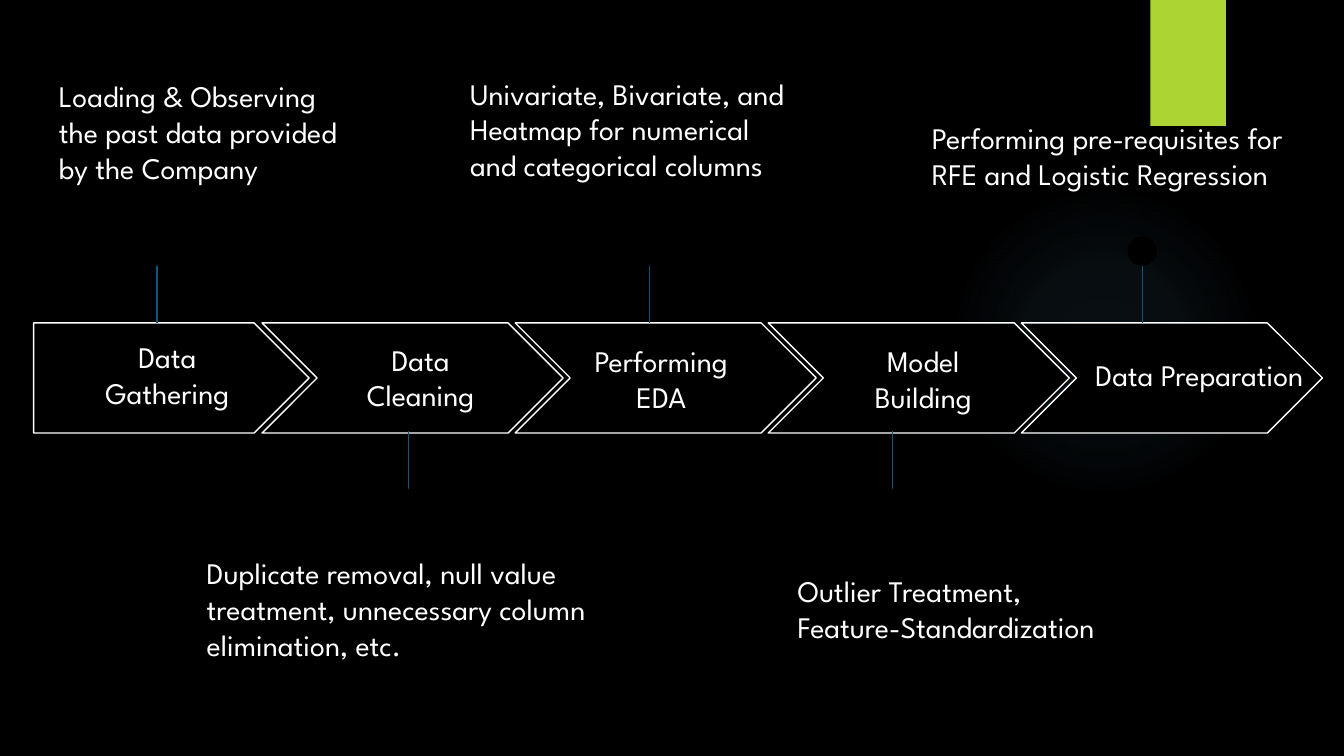
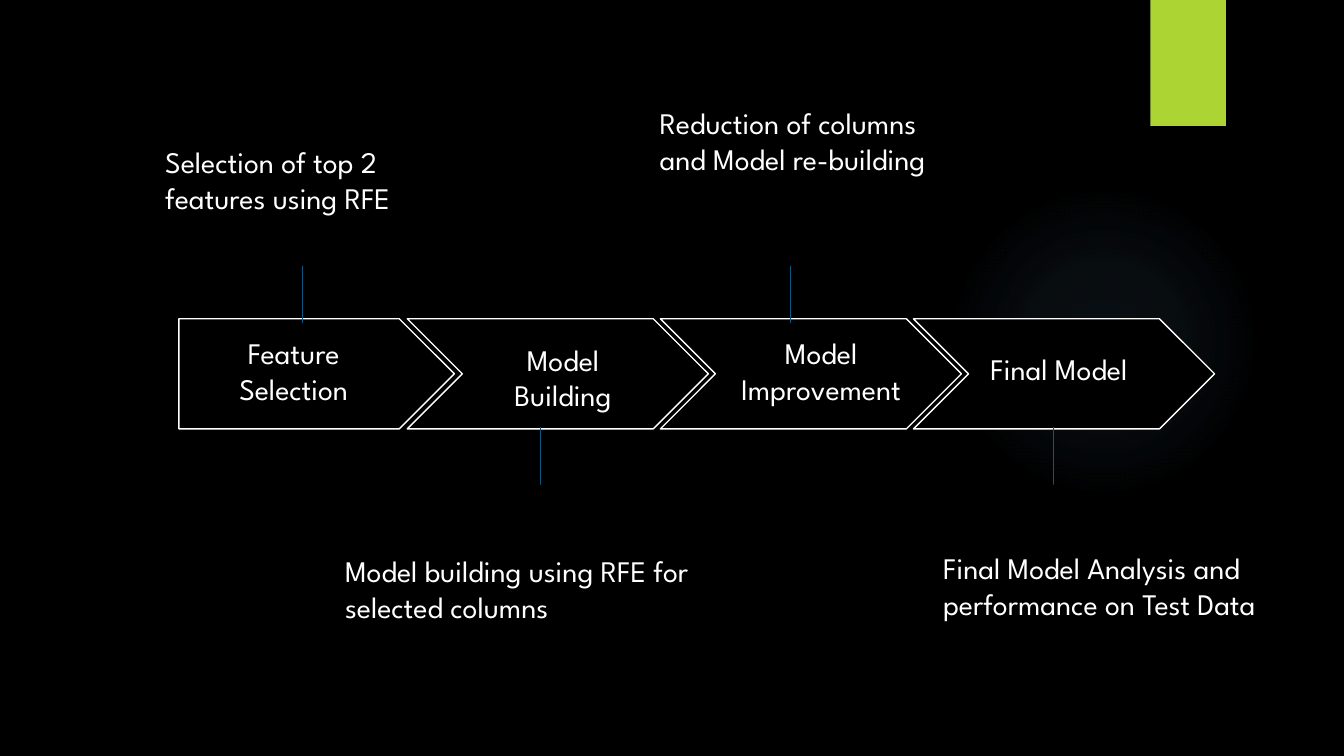
from lxml import etree
from pptx import Presentation
from pptx.dml.color import RGBColor
from pptx.enum.shapes import MSO_CONNECTOR, MSO_SHAPE
from pptx.enum.text import MSO_ANCHOR, PP_ALIGN
from pptx.oxml import parse_xml
from pptx.oxml.ns import nsdecls, qn
from pptx.util import Pt

RECT, OVAL = MSO_SHAPE.RECTANGLE, MSO_SHAPE.OVAL
PENTAGON, CHEVRON = MSO_SHAPE.PENTAGON, MSO_SHAPE.CHEVRON
STRAIGHT = MSO_CONNECTOR.STRAIGHT
TOP, MIDDLE = MSO_ANCHOR.TOP, MSO_ANCHOR.MIDDLE
LEFT, CENTER = PP_ALIGN.LEFT, PP_ALIGN.CENTER

BLACK, WHITE, LIME, BLUE, GLOW = "000000", "FFFFFF", "ACD433", "0E5580", "7AC4F0"
FONT, SIZE = "League Spartan", 16

# Content: each step has (label, label box), (note, note box), stem x.
# Boxes are left, top, width, height; notes alternate above and below.
SLIDES = [
    dict(left=18, top=173, steps=[
        (("Data Gathering", (32.4, 182.2, 114.5, 36.7)),
         ("Loading & Observing the past data provided by the Company",
          (24.5, 34.6, 176.4, 71.3)), 84.2),
        (("Data Cleaning", (173.5, 183.6, 103.7, 36.7)),
         ("Duplicate removal, null value treatment, unnecessary column elimination, etc.",
          (103.7, 290.2, 230.4, 59)), 219),
        (("Performing EDA", (302.4, 184.3, 103.7, 36.7)),
         ("Univariate, Bivariate, and Heatmap for numerical and categorical columns",
          (244.8, 33.1, 190.8, 71.3)), 347.8),
        (("Model Building", (442.8, 184.3, 103.7, 36.7)),
         ("Outlier Treatment, Feature-Standardization",
          (420.2, 299.5, 183.6, 59)), 478),
        (("Data Preparation", (578.9, 182.2, 127.4, 36.7)),
         ("Performing pre-requisites for RFE and Logistic Regression",
          (492.2, 56.9, 211.7, 71.3)), 612),
    ]),
    dict(left=95.8, top=170.8, steps=[
        (("Feature Selection", (100.1, 180, 114.5, 36.7)),
         ("Selection of top 2 features using RFE",
          (81.4, 69.8, 176.4, 71.3)), 162),
        (("Model Building", (249.8, 183.6, 103.7, 36.7)),
         ("Model building using RFE for selected columns",
          (177.8, 288.7, 241.9, 71.3)), 289.4),
        (("Model Improvement", (378.7, 180, 122.4, 36.7)),
         ("Reduction of columns and Model re-building",
          (346.3, 49, 176.4, 71.3)), 423.4),
        (("Final Model", (515.5, 179.3, 103.7, 36.7)),
         ("Final Model Analysis and performance on Test Data",
          (498.2, 287.3, 197.3, 71.3)), 564.5),
    ]),
]

# Process row geometry
FIRST_W, CHEVRON_W, ARROW_H = 147.6, 161.3, 59
FIRST_STEP, STEP = 122.4, 135.6
STEM_TOP, STEM_H, DOT = 129.6, 43.6, 15.8
DOT_OVERHANG = 3


def rgb(value):
    return RGBColor.from_string(value)


def add_shape(shapes, kind, box, fill, line=None):
    sp = shapes.add_shape(kind, *map(Pt, box))
    sp.shadow.inherit = False
    sp.fill.solid()
    sp.fill.fore_color.rgb = rgb(fill)
    if line:
        sp.line.color.rgb = rgb(line)
        sp.line.width = Pt(0.75)
    else:
        sp.line.fill.background()
    return sp


def add_text(s, text, box, anchor, align, space_after):
    tf = s.shapes.add_textbox(*map(Pt, box)).text_frame
    tf.word_wrap = True
    tf.vertical_anchor = anchor
    tf.margin_left = tf.margin_top = tf.margin_right = tf.margin_bottom = Pt(7.2)
    p = tf.paragraphs[0]
    p.alignment = align
    p.space_after = Pt(space_after)
    r = p.add_run()
    r.text = text
    r.font.name, r.font.size = FONT, Pt(SIZE)
    r.font.color.rgb = rgb(WHITE)


def add_backdrop(s):
    # Faint radial glow, then the lime band
    glow = add_shape(s.shapes, OVAL, (508.3, 99.4, 166.3, 166.3), GLOW)
    stops = "".join(
        f'<a:gs pos="{pos}000"><a:srgbClr val="{GLOW}"><a:alpha val="{alpha}000"/>'
        "</a:srgbClr></a:gs>" for pos, alpha in [(0, 7), (36, 6), (69, 0), (100, 0)])
    grad = parse_xml(
        f'<a:gradFill {nsdecls("a")}><a:gsLst>{stops}</a:gsLst><a:path path="circle">'
        '<a:fillToRect l="50000" t="50000" r="50000" b="50000"/></a:path></a:gradFill>')
    solid = glow.element.spPr.find(qn("a:solidFill"))
    solid.getparent().replace(solid, grad)
    add_shape(s.shapes, RECT, (616.3, 0, 40.4, 67.5), LIME)


def add_stem(s, x, row_top, above):
    if above:
        start, end = STEM_TOP, STEM_TOP + STEM_H
        dot_top = start - DOT_OVERHANG
    else:
        end = row_top + ARROW_H - 1
        start = end + STEM_H
        dot_top = start + DOT_OVERHANG - DOT
    group = s.shapes.add_group_shape()
    stem = group.shapes.add_connector(STRAIGHT, Pt(x), Pt(start), Pt(x), Pt(end))
    stem.line.color.rgb = rgb(BLUE)
    stem.line.width = Pt(0.75)
    etree.SubElement(stem.element.spPr, qn("a:effectLst"))
    add_shape(group.shapes, OVAL, (x - DOT / 2, dot_top, DOT, DOT), BLACK)


def build_slide(prs, left, top, steps):
    s = prs.slides.add_slide(prs.slide_layouts[6])
    add_backdrop(s)
    # Row of arrows
    for i in range(len(steps)):
        kind, x, w = PENTAGON, left, FIRST_W
        if i:
            kind, x, w = CHEVRON, left + FIRST_STEP + (i - 1) * STEP, CHEVRON_W
        arrow = add_shape(s.shapes, kind, (x, top, w, ARROW_H), BLACK, WHITE)
        arrow.adjustments[0] = 0.5
    # Labels and notes
    for label, note, _ in steps:
        add_text(s, *label, MIDDLE, CENTER, 0)
        add_text(s, *note, TOP, LEFT, 16)
    # Stems alternate above and below the row
    for i, (_, _, x) in enumerate(steps):
        add_stem(s, x, top, above=i % 2 == 0)


def main():
    prs = Presentation()
    prs.slide_width, prs.slide_height = Pt(720), Pt(405)
    background = prs.slide_master.background.fill
    background.solid()
    background.fore_color.rgb = rgb(BLACK)
    for content in SLIDES:
        build_slide(prs, **content)
    prs.save("out.pptx")


if __name__ == "__main__":
    main()
